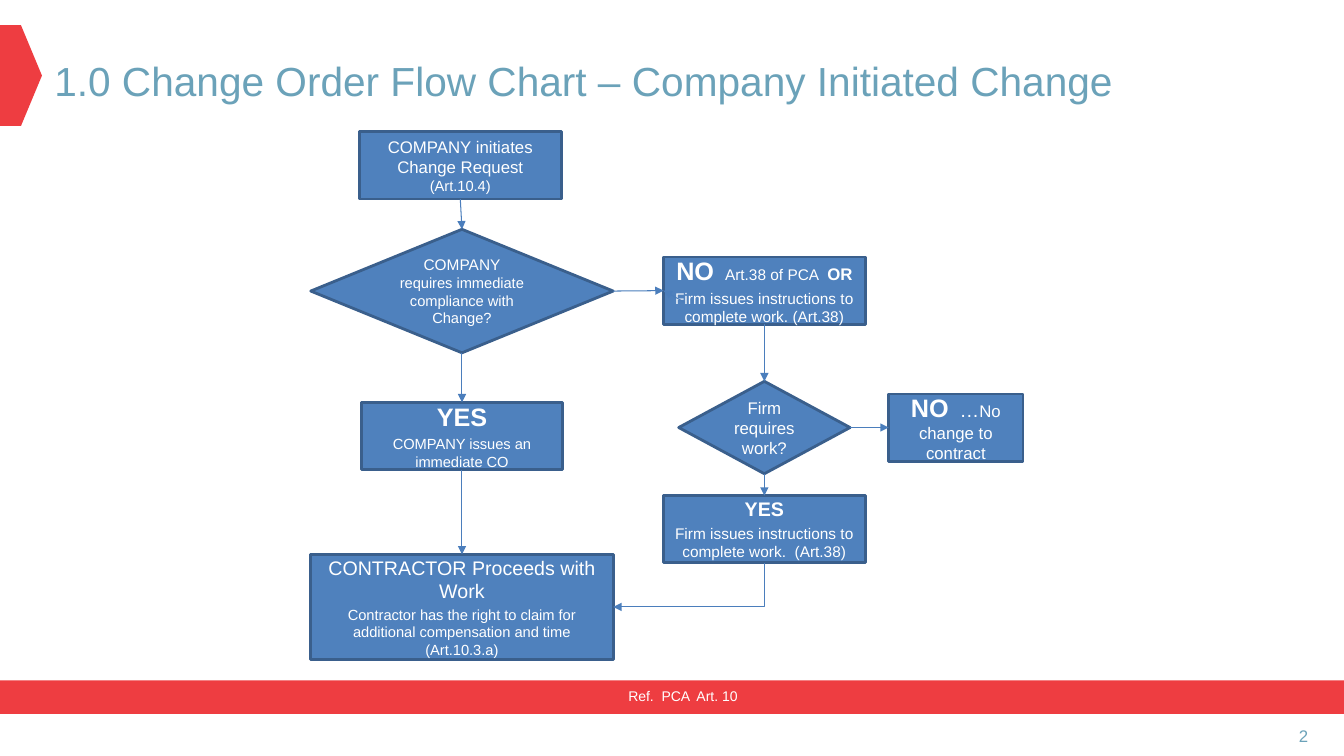
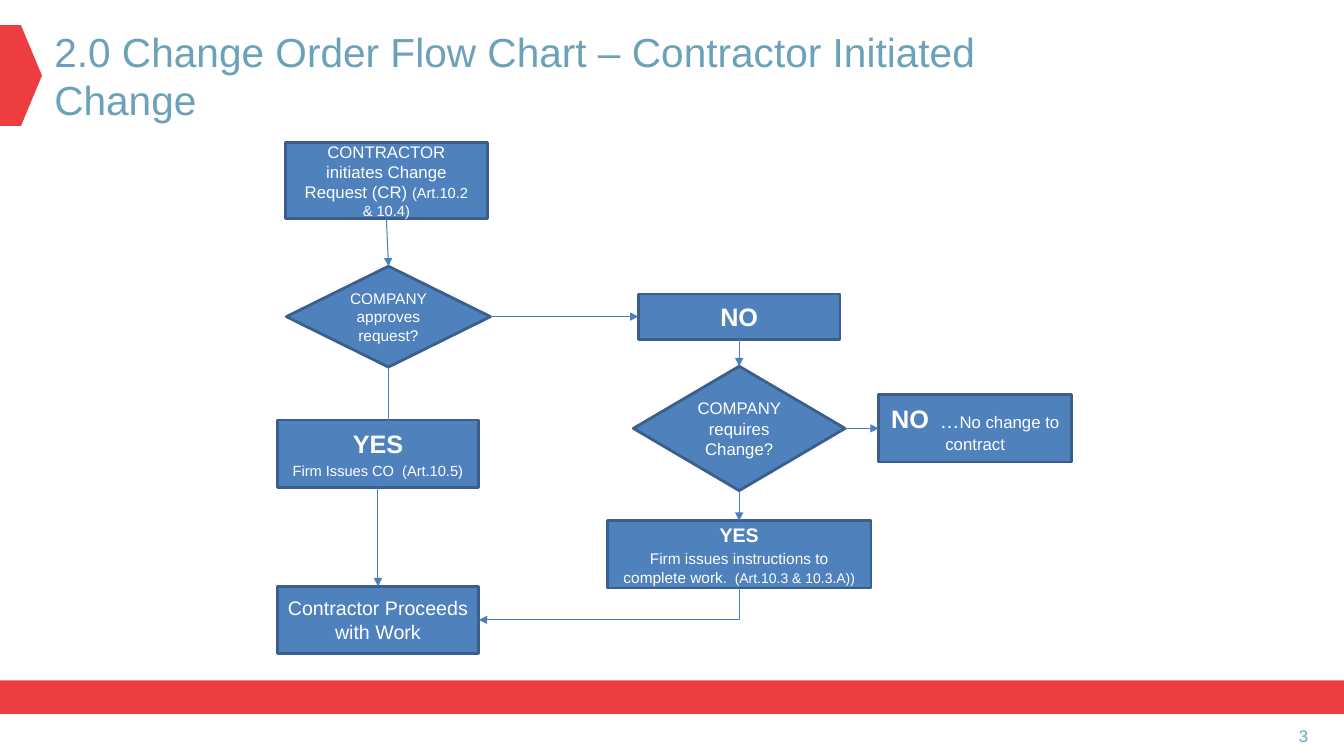
from dataclasses import dataclass

from lxml.etree import SubElement
from pptx import Presentation
from pptx.dml.color import RGBColor
from pptx.enum.shapes import MSO_CONNECTOR as CONN, MSO_SHAPE as SHAPE
from pptx.enum.text import MSO_ANCHOR as ANCHOR, MSO_AUTO_SIZE as AUTO, PP_ALIGN as ALIGN
from pptx.oxml.ns import qn
from pptx.util import Inches, Pt


@dataclass(frozen=True)
class Theme:
    font: str = "Arial"
    red: RGBColor = RGBColor.from_string("EE3D41")
    teal: RGBColor = RGBColor.from_string("6BA2B9")
    white: RGBColor = RGBColor.from_string("FFFFFF")
    node: RGBColor = RGBColor.from_string("4F81BD")
    edge: RGBColor = RGBColor.from_string("3A5F8C")
    arrow: RGBColor = RGBColor.from_string("4B7EBC")
    title: float = 29
    answer: float = 18
    head: float = 14
    body: float = 12
    text: float = 11
    note: float = 10.5
    small: float = 10


T = Theme()
COLS, ROWS = 160, 90
TOP, LEFT, BOTTOM, RIGHT = range(4)
BOX, DECISION = SHAPE.RECTANGLE, SHAPE.FLOWCHART_DECISION

prs = Presentation()
prs.slide_width, prs.slide_height = Inches(13.33), Inches(7.5)


def grid(*cells):
    sizes = (prs.slide_width / COLS, prs.slide_height / ROWS)
    return [round(cell * sizes[i % 2]) for i, cell in enumerate(cells)]


def write(sp, paragraphs, color, align=ALIGN.CENTER, pad=(0.1, 0.05)):
    tf = sp.text_frame
    tf.word_wrap, tf.auto_size = True, AUTO.NONE
    tf.vertical_anchor = ANCHOR.MIDDLE
    tf.margin_left = tf.margin_right = Inches(pad[0])
    tf.margin_top = tf.margin_bottom = Inches(pad[1])
    for i, runs in enumerate(paragraphs):
        p = tf.add_paragraph() if i else tf.paragraphs[0]
        p.alignment = align
        if i:
            p.space_before = Pt(0.2 * runs[0][1])
        for text, size, *bold in runs:
            r = p.add_run()
            r.text = text
            r.font.name, r.font.size = T.font, Pt(size)
            r.font.bold = bool(bold)
            r.font.color.rgb = color


WIDE = (0.13, 0.07)
NO_CHANGE = [[("NO", T.answer, True), ("  …", T.head), ("No change to contract", T.body)]]

slides = [
    dict(
        title="1.0 Change Order Flow Chart – Company Initiated Change",
        title_top=2.9,
        footer="Ref.  PCA  Art. 10",
        nodes={
            "decision": (DECISION, (37, 27.3, 36, 14.7), [
                [("COMPANY ", T.text),
                 ("requires immediate compliance with Change?", T.note)]]),
            "request": (BOX, (42.8, 15.7, 24, 8), [
                [("COMPANY initiates Change Request ", T.body), ("(Art.10.4)", T.note)]]),
            "no_change": (BOX, (105.8, 46.9, 16, 8), NO_CHANGE),
            "no": (BOX, (79, 30.6, 24, 8), [
                [("NO", T.answer, True), ("  ", T.head),
                 ("Art.38 of PCA  ", T.text), ("OR", T.body, True)],
                [("Firm issues instructions to complete work. (Art.38)", T.text)]]),
            "proceed": (BOX, (37, 66, 36, 12.5), [
                [("CONTRACTOR Proceeds with Work", T.head)],
                [("Contractor has the right to claim for additional "
                  "compensation and time (Art.10.3.a)", T.note)]]),
            "yes": (BOX, (43, 47.9, 24, 8), [
                [("YES", T.answer, True)],
                [("COMPANY issues an immediate CO", T.note)]]),
            "required": (DECISION, (80.8, 45.4, 20.4, 11), [
                [("Firm requires work?", T.body)]]),
            "instruct": (BOX, (79, 59, 24, 8), [
                [("YES", T.head, True)],
                [("Firm issues instructions to complete work.  (Art.38)", T.text)]]),
        },
        links=[
            ("request", BOTTOM, "decision", TOP),
            ("decision", BOTTOM, "yes", TOP),
            ((81.5, 36), None, "no", LEFT),
            ("no", BOTTOM, "required", TOP),
            ("required", RIGHT, "no_change", LEFT),
            ("required", BOTTOM, "instruct", TOP),
            ("yes", BOTTOM, "proceed", TOP),
            ("instruct", BOTTOM, "proceed", RIGHT),
            ("decision", RIGHT, "no", LEFT),
        ],
    ),
    dict(
        title="2.0 Change Order Flow Chart – Contractor Initiated Change",
        title_top=2.3,
        footer="",
        nodes={
            "decision": (DECISION, (34.1, 31.7, 24.3, 12), [
                [("COMPANY approves request?", T.text)]]),
            "request": (BOX, (34, 17, 24, 9), [
                [("CONTRACTOR initiates Change Request (CR) ", T.body),
                 ("(Art.10.2 & 10.4)", T.note)]]),
            "no_change": (BOX, (104.6, 47, 23, 8), NO_CHANGE),
            "no": (BOX, (76, 35, 24, 5.4), [[("NO", T.answer, True)]]),
            "proceed": (BOX, (33, 69.8, 24, 8), [
                [("Contractor Proceeds with Work", T.head)]]),
            "yes": (BOX, (33, 50, 24, 8), [
                [("YES", T.answer, True)],
                [("Firm Issues CO  (Art.10.5)", T.note)]]),
            "required": (DECISION, (75.4, 43.6, 25.2, 14.8), [
                [("COMPANY requires Change?", T.body)]]),
            "instruct": (BOX, (72.3, 62, 31.4, 8), [
                [("YES", T.head, True)],
                [("Firm issues instructions to complete work", T.text),
                 (".  (Art.10.3 & 10.3.A))", T.small)]]),
        },
        links=[
            ("request", BOTTOM, "decision", TOP),
            ("decision", BOTTOM, (46.25, 51.9), None),
            ("decision", RIGHT, "no", LEFT),
            ("no", BOTTOM, "required", TOP),
            ("required", RIGHT, "no_change", LEFT),
            ("required", BOTTOM, "instruct", TOP),
            ("yes", BOTTOM, "proceed", TOP),
            ("instruct", BOTTOM, "proceed", RIGHT),
        ],
    ),
]

for number, page in enumerate(slides, 2):
    s = prs.slides.add_slide(prs.slide_layouts[5])

    for kind, area in ((SHAPE.PENTAGON, (0, 3, 5, 12)), (BOX, (0, 81, COLS, 4))):
        sp = s.shapes.add_shape(kind, *grid(*area))
        sp.shadow.inherit = False
        sp.fill.solid()
        sp.fill.fore_color.rgb = T.red
        sp.line.fill.background()

    title = s.shapes.title
    title.left, title.top, title.width, title.height = grid(4.9, page["title_top"], 130, 13.3)
    write(title, [[(page["title"], T.title)]], T.teal, ALIGN.LEFT, WIDE)

    sp = s.shapes.add_textbox(*grid(150.6, 85.2, 6.7, 4.8))
    write(sp, [[(str(number), T.body)]], T.teal, ALIGN.RIGHT, WIDE)
    if page["footer"]:
        sp = s.shapes.add_textbox(*grid(8.6, 80.8, 145.4, 4))
        write(sp, [[(page["footer"], T.small)]], T.white, pad=WIDE)

    nodes = {}
    for name, (kind, area, paragraphs) in page["nodes"].items():
        sp = nodes[name] = s.shapes.add_shape(kind, *grid(*area))
        sp.shadow.inherit = False
        sp.fill.solid()
        sp.fill.fore_color.rgb = T.node
        sp.line.color.rgb, sp.line.width = T.edge, Pt(2)
        write(sp, paragraphs, T.white, pad=WIDE if name == "request" else (0.1, 0.05))

    for start, start_side, end, end_side in page["links"]:
        bent = (start_side, end_side) == (BOTTOM, RIGHT)
        first = grid(*start) if start_side is None else (0, 0)
        last = grid(*end) if end_side is None else (0, 0)
        c = s.shapes.add_connector(CONN.ELBOW if bent else CONN.STRAIGHT, *first, *last)
        if start_side is not None:
            c.begin_connect(nodes[start], start_side)
        if end_side is not None:
            c.end_connect(nodes[end], end_side)
        spPr = c._element.spPr
        if bent:
            x, y, w, h = c.left, c.top, c.width, c.height
            c.left, c.top = x + (w - h) // 2, y + (h - w) // 2
            c.width, c.height = h, w
            spPr.find(qn("a:prstGeom")).set("prst", "bentConnector2")
            xfrm = spPr.find(qn("a:xfrm"))
            xfrm.attrib.pop("flipH", None)
            xfrm.attrib.pop("flipV", None)
            xfrm.set("rot", "5400000")
        c.line.color.rgb, c.line.width = T.arrow, Pt(0.75)
        SubElement(spPr.find(qn("a:ln")), qn("a:tailEnd"), type="triangle")
        SubElement(spPr, qn("a:effectLst"))

prs.save("out.pptx")
